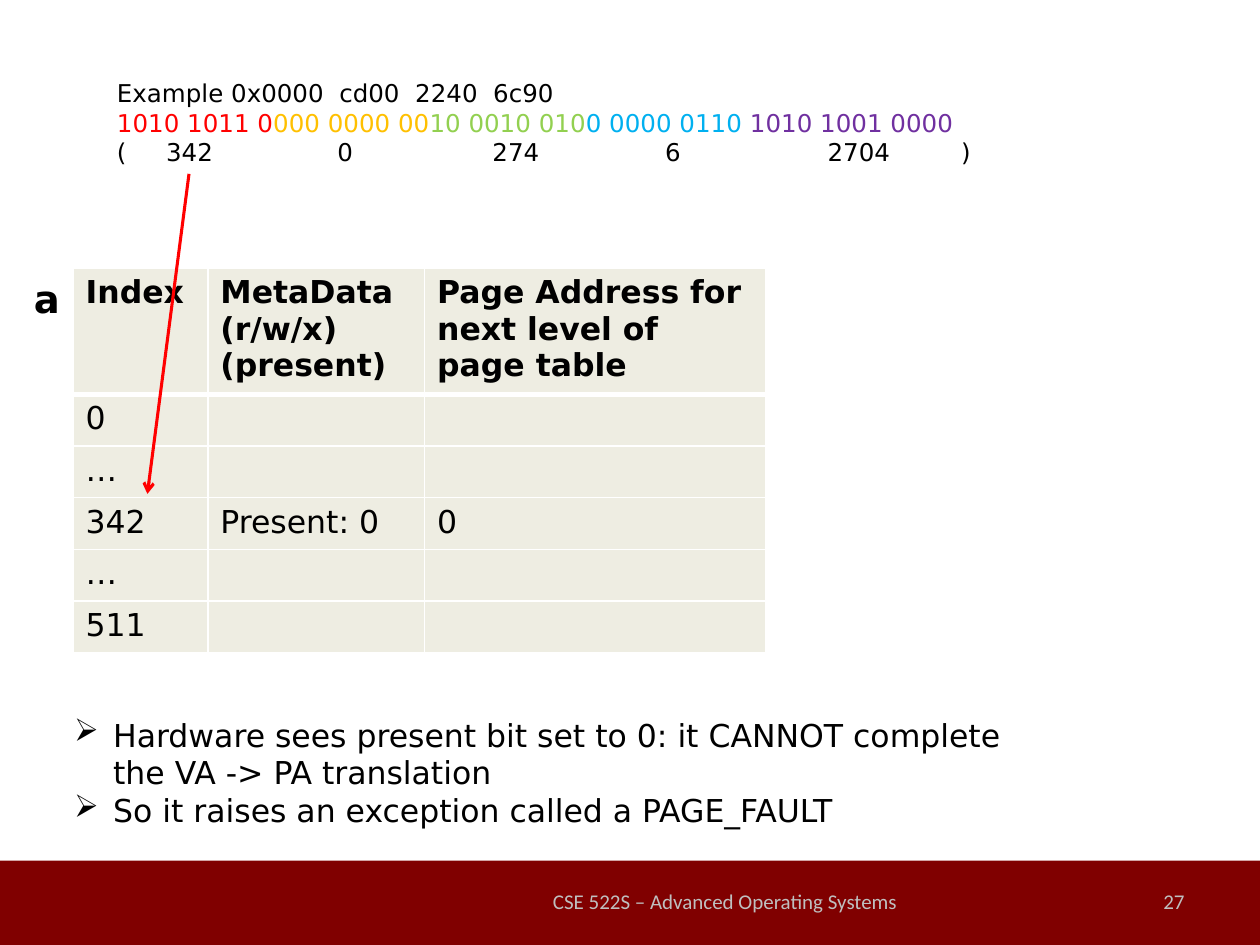
from pptx import Presentation
from pptx.dml.color import RGBColor
from pptx.enum.shapes import MSO_CONNECTOR, MSO_SHAPE
from pptx.enum.text import MSO_ANCHOR, PP_ALIGN
from pptx.oxml.ns import qn
from pptx.util import Inches, Pt
from lxml.etree import SubElement


def rgb(hex_color):
    return RGBColor.from_string(hex_color)


def add_text(p, text, size, color="000000", bold=False, font="DejaVu Sans"):
    for i, line in enumerate(text.split("\n")):
        if i:
            p.add_line_break()
        r = p.add_run()
        r.text = line
        r.font.name, r.font.size, r.font.bold = font, Pt(size), bold
        r.font.color.rgb = rgb(color)


prs = Presentation()
prs.slide_width, prs.slide_height = Inches(10), Inches(7.5)
s = prs.slides.add_slide(prs.slide_layouts[6])

# Footer band, page number and course name
band = s.shapes.add_shape(MSO_SHAPE.RECTANGLE, 0, Inches(6.83), Inches(10), Inches(0.67))
band.shadow.inherit = False
band.fill.solid()
band.fill.fore_color.rgb = rgb("800000")
band.line.fill.background()

for x, w, align, text in [
    (7.17, 2.33, PP_ALIGN.RIGHT, "27"),
    (4.17, 3.17, PP_ALIGN.CENTER, "CSE 522S – Advanced Operating Systems"),
]:
    tf = s.shapes.add_textbox(Inches(x), Inches(6.95), Inches(w), Inches(0.4)).text_frame
    tf.word_wrap = True
    tf.vertical_anchor = MSO_ANCHOR.MIDDLE
    p = tf.paragraphs[0]
    p.alignment = align
    add_text(p, text, 12, "BFBFBF", font="Calibri")

# Table label
tf = s.shapes.add_textbox(Inches(0.17), Inches(2.13), Inches(0.3), Inches(0.47)).text_frame
add_text(tf.paragraphs[0], "a", 22, bold=True)

# Example address split into its index fields
tf = s.shapes.add_textbox(Inches(0.83), Inches(0.33), Inches(9.17), Inches(1.04)).text_frame
tf.word_wrap = True
tf.vertical_anchor = MSO_ANCHOR.BOTTOM
add_text(tf.paragraphs[0], "Example 0x0000  cd00  2240  6c90", 14)

p = tf.add_paragraph()
for bits, color in [
    ("1010 1011 0", "FF0000"),
    ("000 0000 00", "FFC000"),
    ("10 0010 010", "92D050"),
    ("0 0000 0110 ", "00B0F0"),
    ("1010 1001 0000", "7030A0"),
]:
    add_text(p, bits, 14, color)

p = tf.add_paragraph()
add_text(p, "(\t342\t0\t274\t6\t2704\t)", 14)
tabs = SubElement(p._p.get_or_add_pPr(), qn("a:tabLst"))
for pos in [0.39, 1.75, 2.98, 4.35, 5.64, 6.7]:
    SubElement(tabs, qn("a:tab"), pos=str(Inches(pos)), algn="l")

# Page table
rows = [
    ["Index", "MetaData\n(r/w/x)\n(present)", "Page Address for next level of page table"],
    ["0", "", ""],
    ["…", "", ""],
    ["342", "Present: 0", "0"],
    ["…", "", ""],
    ["511", "", ""],
]
table = s.shapes.add_table(len(rows), 3, Inches(0.58), Inches(2.13),
                           Inches(5.5), Inches(3.03)).table
for col, w in zip(table.columns, [1.07, 1.72, 2.71]):
    col.width = Inches(w)
for i, values in enumerate(rows):
    table.rows[i].height = Inches(0.41 if i else 0.98)
    for j, text in enumerate(values):
        cell = table.cell(i, j)
        if text:
            add_text(cell.text_frame.paragraphs[0], text, 18, bold=i == 0)
        # Borders come before the fill in the cell properties
        for side in ["L", "R", "T", "B"]:
            thick = (i, side) in [(0, "B"), (1, "T")]
            ln = SubElement(cell._tc.get_or_add_tcPr(), qn(f"a:ln{side}"),
                            w=str(Pt(3 if thick else 1)))
            SubElement(SubElement(ln, qn("a:solidFill")), qn("a:srgbClr"), val="FFFFFF")
        cell.fill.solid()
        cell.fill.fore_color.rgb = rgb("EEEDE2")

# Bulleted explanation
tf = s.shapes.add_textbox(Inches(0.49), Inches(5.63), Inches(9.17), Inches(1.01)).text_frame
tf.word_wrap = True
for i, text in enumerate([
    "Hardware sees present bit set to 0: it CANNOT complete \nthe VA -> PA translation",
    "So it raises an exception called a PAGE_FAULT",
]):
    p = tf.add_paragraph() if i else tf.paragraphs[0]
    add_text(p, text, 18)
    pPr = p._p.get_or_add_pPr()
    pPr.set("marL", str(Inches(0.31)))
    pPr.set("indent", str(-Inches(0.31)))
    SubElement(pPr, qn("a:buChar"), char="➢")

# Arrow from the first index to its table row
arrow = s.shapes.add_connector(MSO_CONNECTOR.STRAIGHT, Inches(1.5), Inches(1.38),
                               Inches(1.17), Inches(3.92))
arrow.line.color.rgb = rgb("FF0000")
arrow.line.width = Pt(1.75)
SubElement(arrow.line._get_or_add_ln(), qn("a:tailEnd"), type="arrow")
SubElement(arrow._element.spPr, qn("a:effectLst"))

prs.save("out.pptx")
